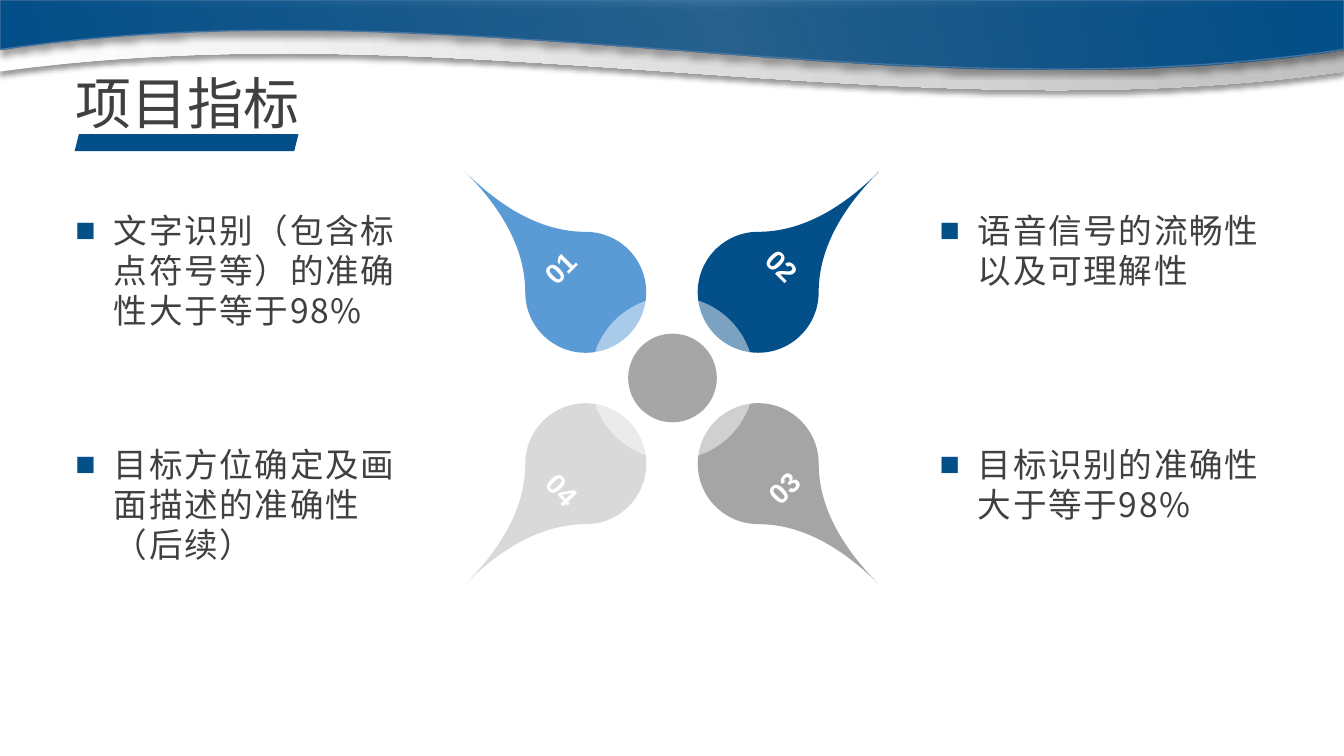
from lxml.etree import SubElement
from pptx import Presentation
from pptx.dml.color import RGBColor
from pptx.enum.shapes import MSO_SHAPE
from pptx.enum.text import MSO_ANCHOR, MSO_AUTO_SIZE, PP_ALIGN
from pptx.oxml import parse_xml
from pptx.oxml.ns import nsdecls, qn
from pptx.util import Inches, Pt

BLUE, LIGHT_BLUE, DARK, WHITE = "034F89", "5B9BD5", "404040", "FFFFFF"
GREY, MID_GREY, PALE_GREY = "A5A5A5", "A6A6A6", "D9D9D9"
WIDTH, HEIGHT = 13.33, 7.5
CENTER_X, CENTER_Y = 6.67, 3.75


def color(value):
    return RGBColor.from_string(value)


def wave_points(left_y, first_y, second_y, end_y, steps=60):
    """Points of a wave that runs from the right edge to the left edge."""
    points = []
    for step in range(steps + 1):
        t = step / steps
        weights = ((1 - t) ** 3, 3 * t * (1 - t) ** 2, 3 * t * t * (1 - t), t ** 3)
        x = sum(w * v for w, v in zip(weights, (WIDTH, 8.91, 4.5, 0.08)))
        y = sum(w * v for w, v in zip(weights, (left_y, first_y, second_y, end_y)))
        points.append((Inches(x), Inches(y)))
    return points + [(0, Inches(left_y))]


class SlideBuilder:
    cjk_font = "Noto Sans CJK SC"
    label_font = "Arial"

    def __init__(self, deck):
        self.page = deck.slides.add_slide(deck.slide_layouts[5])

    def wave(self, curve, stops, line=None):
        builder = self.page.shapes.build_freeform(0, 0, scale=1.0)
        builder.add_line_segments([(Inches(WIDTH), 0)] + wave_points(*curve))
        shape = builder.convert_to_shape()
        if line:
            shape.line.color.rgb = color(line)
            shape.line.width = Pt(1)
        else:
            shape.line.fill.background()
        # Gradient stops with transparency
        shape.fill.gradient()
        gradient = shape.fill._xPr.find(qn("a:gradFill"))
        stop_list = gradient.find(qn("a:gsLst"))
        for old_stop in list(stop_list):
            stop_list.remove(old_stop)
        for position, value, alpha in stops:
            stop = SubElement(stop_list, qn("a:gs"), pos=str(position * 1000))
            stop_color = SubElement(stop, qn("a:srgbClr"), val=value)
            SubElement(stop_color, qn("a:alpha"), val=str(alpha * 1000))
        gradient.find(qn("a:lin")).set("ang", str(342 * 60000))
        # Soft shadow below the wave
        shape._element.spPr.append(parse_xml(
            f'<a:effectLst {nsdecls("a")}><a:outerShdw blurRad="{Pt(4)}" dist="{Pt(3)}" '
            'dir="5400000" algn="t" rotWithShape="0"><a:srgbClr val="000000">'
            '<a:alpha val="40000"/></a:srgbClr></a:outerShdw></a:effectLst>'))

    def shape(self, kind, left, top, width, height, fill, rotation=0, alpha=None):
        shape = self.page.shapes.add_shape(
            kind, Inches(left), Inches(top), Inches(width), Inches(height))
        shape.shadow.inherit = False
        shape.fill.solid()
        shape.fill.fore_color.rgb = color(fill)
        shape.line.fill.background()
        shape.rotation = rotation
        if alpha:
            fill_color = shape._element.spPr.find(qn("a:solidFill"))[0]
            SubElement(fill_color, qn("a:alpha"), val=str(alpha * 1000))
        return shape

    def circle(self, size, fill, alpha=None):
        self.shape(MSO_SHAPE.OVAL, CENTER_X - size / 2, CENTER_Y - size / 2,
                   size, size, fill, alpha=alpha)

    def style(self, box, text, size, font, value, align):
        frame = box.text_frame
        frame.word_wrap = True
        frame.auto_size = MSO_AUTO_SIZE.NONE
        frame.vertical_anchor = MSO_ANCHOR.TOP
        frame.text = text
        para = frame.paragraphs[0]
        para.alignment = align
        span = para.runs[0]
        span.font.size = Pt(size)
        span.font.name = font
        span.font.color.rgb = color(value)
        SubElement(span.font._element, qn("a:ea"), typeface=font)
        return para

    def title(self, text, left, top, width, height):
        box = self.page.shapes.title
        box.left, box.top = Inches(left), Inches(top)
        box.width, box.height = Inches(width), Inches(height)
        self.style(box, text, 40, self.cjk_font, DARK, PP_ALIGN.JUSTIFY)

    def text_box(self, left, top, width, height):
        return self.page.shapes.add_textbox(
            Inches(left), Inches(top), Inches(width), Inches(height))

    def label(self, text, left, top, rotation):
        box = self.text_box(left, top, 0.51, 0.44)
        box.rotation = rotation
        para = self.style(box, text, 20, self.label_font, WHITE, PP_ALIGN.CENTER)
        para.runs[0].font.bold = True

    def bullet(self, text, left, top, height):
        box = self.text_box(left, top, 3.45, height)
        para = self.style(box, text, 24, self.cjk_font, DARK, PP_ALIGN.LEFT)
        para.runs[0].font._element.set("spc", "120")
        settings = para._p.get_or_add_pPr()
        settings.set("marL", str(Inches(0.38)))
        settings.set("indent", str(-Inches(0.38)))
        bullet_color = SubElement(settings, qn("a:buClr"))
        SubElement(bullet_color, qn("a:srgbClr"), val=BLUE)
        SubElement(settings, qn("a:buFont"), typeface=self.label_font)
        SubElement(settings, qn("a:buChar"), char="■")


def main():
    deck = Presentation()
    deck.slide_width, deck.slide_height = Inches(WIDTH), Inches(HEIGHT)
    slide = SlideBuilder(deck)

    # Header waves
    slide.wave((0.71, 1.34, 0.1, 0.7), [(0, WHITE, 100), (100, "BFBFBF", 100)])
    slide.wave((0.49, 1.16, -0.16, 0.48),
               [(0, BLUE, 100), (54, BLUE, 75), (100, BLUE, 100)], line="43739E")

    # Title and its underline
    slide.title("项目指标", 0.65, 0.63, 2.43, 0.77)
    slide.shape(MSO_SHAPE.PARALLELOGRAM, 0.74, 1.33, 2.22, 0.17, BLUE)

    # Four petals, clockwise from the upper left
    petals = [
        ("01", 5.21, 2.3, 270, LIGHT_BLUE, 5.3, 2.44, 315),
        ("02", 6.92, 2.3, 0, BLUE, 7.5, 2.42, 45),
        ("03", 6.92, 4, 90, GREY, 7.52, 4.62, 315),
        ("04", 5.21, 4, 180, PALE_GREY, 5.32, 4.64, 46.7),
    ]
    for number, left, top, turn, fill, label_left, label_top, label_turn in petals:
        petal = slide.shape(MSO_SHAPE.TEAR, left, top, 1.2, 1.2, fill, turn)
        petal.adjustments[0] = 2
        slide.label(number, label_left, label_top, label_turn)

    # Centre circles
    slide.circle(1.62, WHITE, alpha=48)
    slide.circle(1.19, WHITE, alpha=48)
    slide.circle(0.88, MID_GREY)

    # Indicators on both sides
    indicators = [
        (0.65, 1.31, ["文字识别（包含标点符号等）的准确性大于等于98%",
                      "目标方位确定及画面描述的准确性（后续）"]),
        (9.22, 0.91, ["语音信号的流畅性以及可理解性", "目标识别的准确性大于等于98%"]),
    ]
    for left, height, texts in indicators:
        for text, top in zip(texts, (2.03, 4.35)):
            slide.bullet(text, left, top, height)

    deck.save("out.pptx")


if __name__ == "__main__":
    main()
